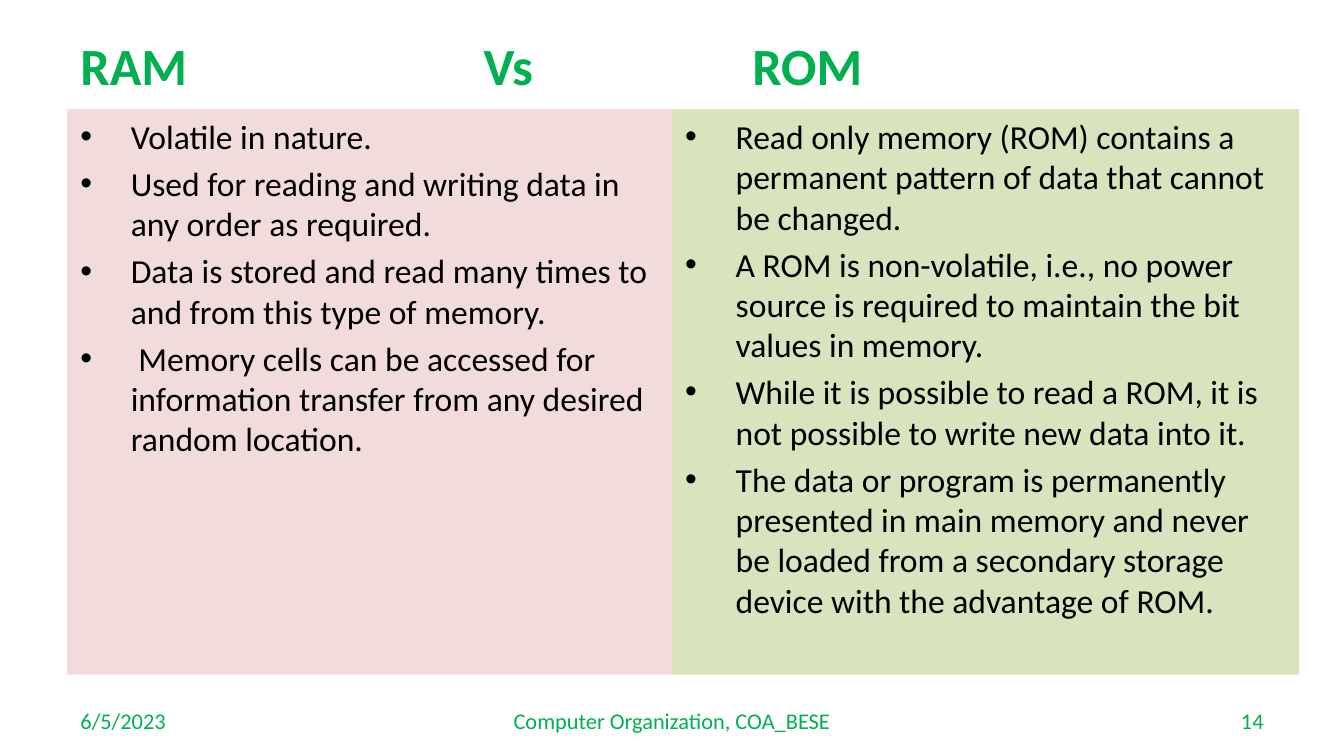
"""Build a slide comparing RAM and ROM in two coloured panels."""
from lxml import etree
from pptx import Presentation
from pptx import util as u
from pptx.enum import shapes, text
from pptx.dml.color import RGBColor
from pptx.oxml import ns

PX = 9525
COLORS = {"green": "00B050", "pink": "F2DCDB", "lime": "D7E4BD", "black": "000000"}
ALIGN = text.PP_ALIGN


def px(*lengths):
    return [u.Emu(length * PX) for length in lengths]


def style(paragraph, size, color, bold=False):
    for span in paragraph.runs:
        span.font.name = "Calibri"
        span.font.size = u.Pt(size)
        span.font.bold = bold
        span.font.color.rgb = RGBColor.from_string(COLORS[color])


deck = Presentation()
deck.slide_width, deck.slide_height = px(960, 540)
page = deck.slides.add_slide(deck.slide_layouts[6])

labels = [
    ("RAM \t\t\tVs \t\tROM", (48, 22, 864, 48), 28, True, ALIGN.LEFT),
    ("6/5/2023", (48, 500, 224, 29), 12, False, ALIGN.LEFT),
    ("Computer Organization, COA_BESE", (328, 500, 304, 29), 12, False, ALIGN.CENTER),
    ("14", (688, 500, 224, 29), 12, False, ALIGN.RIGHT),
]
for wording, place, size, bold, alignment in labels:
    box = page.shapes.add_textbox(*px(*place))
    frame = box.text_frame
    frame.word_wrap = True
    frame.vertical_anchor = text.MSO_ANCHOR.MIDDLE
    frame.text = wording
    paragraph = frame.paragraphs[0]
    paragraph.alignment = alignment
    if "\t" in wording:
        tabs = etree.SubElement(paragraph._p.get_or_add_pPr(), ns.qn("a:tabLst"))
        for inch in range(1, 6):
            etree.SubElement(tabs, ns.qn("a:tab"), pos=str(96 * inch * PX), algn="l")
    style(paragraph, size, "green", bold)

panels = [
    (48, 432, "pink", [
        "Volatile in nature.",
        "Used for reading and writing data in any order as required.",
        "Data is stored and read many times to and from this type of memory.",
        " Memory cells can be accessed for information transfer from any desired random location.",
    ]),
    (480, 448, "lime", [
        "Read only memory (ROM) contains a permanent pattern of data that cannot be changed.",
        "A ROM is non-volatile, i.e., no power source is required to maintain the bit values in memory.",
        "While it is possible to read a ROM, it is not possible to write new data into it.",
        "The data or program is permanently presented in main memory and never be loaded "
        "from a secondary storage device with the advantage of ROM.",
    ]),
]
for left, width, color, points in panels:
    panel = page.shapes.add_shape(shapes.MSO_SHAPE.RECTANGLE, *px(left, 78, width, 404))
    panel.shadow.inherit = False
    panel.fill.solid()
    panel.fill.fore_color.rgb = RGBColor.from_string(COLORS[color])
    panel.line.fill.background()
    frame = panel.text_frame
    frame.word_wrap = True
    frame.vertical_anchor = text.MSO_ANCHOR.TOP
    frame.text = "\n".join(points)
    for index, paragraph in enumerate(frame.paragraphs):
        paragraph.alignment = ALIGN.LEFT
        paragraph.space_before = u.Pt(3.6 if index else 0)
        properties = paragraph._p.get_or_add_pPr()
        properties.set("marL", str(36 * PX))
        properties.set("indent", str(-36 * PX))
        etree.SubElement(properties, ns.qn("a:buFont"), typeface="Arial")
        etree.SubElement(properties, ns.qn("a:buChar"), char="•")
        style(paragraph, 18, "black")

deck.save("out.pptx")
